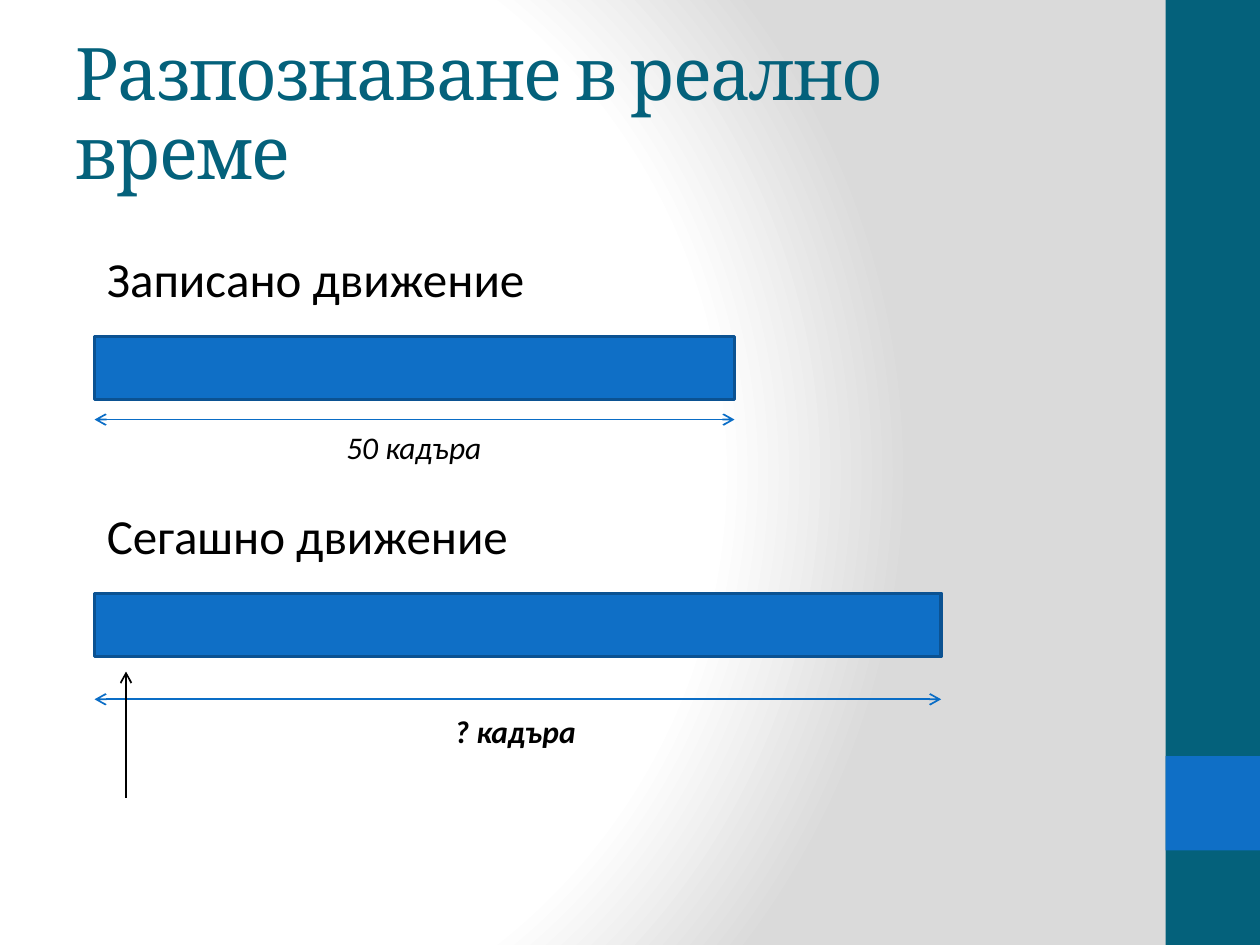
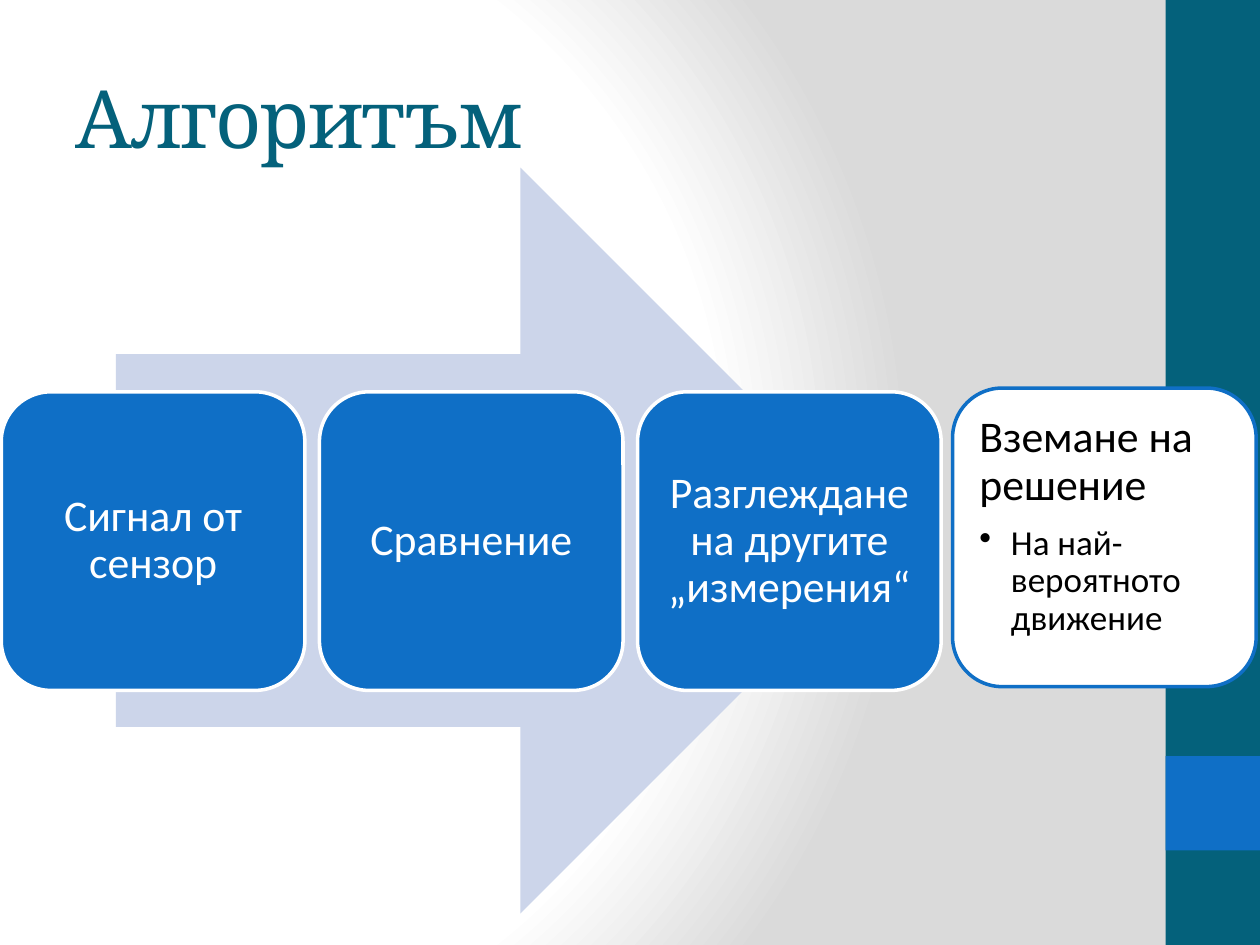
from lxml import etree
from pptx import Presentation
from pptx import util as u
from pptx.dml.color import RGBColor
from pptx.enum import shapes, text
from pptx.oxml import parse_xml
from pptx.oxml.ns import nsdecls, qn

TEAL, BLUE, DARK_BLUE, LINE_BLUE = "04617B", "0F6FC6", "0B5292", "0A6DC6"
PALE, WHITE, BLACK, GREY = "CCD5EA", "FFFFFF", "000000", "DADADA"
STOPS = ((0, WHITE), (75, WHITE), (100, GREY))


def color(value):
    return RGBColor.from_string(value)


class Builder:
    heading_font = "Cambria"
    body_font = "Calibri"

    def __init__(self):
        self.deck = Presentation()
        self.deck.slide_width = u.Inches(10)
        self.deck.slide_height = u.Inches(7.5)
        self.slide = None

    def start(self, title, size):
        self.slide = self.deck.slides.add_slide(self.deck.slide_layouts[6])
        self.background()
        self.shape(9.25, 0, 0.75, 7.5, TEAL)
        self.shape(9.25, 6, 0.75, 0.75, BLUE)
        box = self.label(0.5, 0.3, 8.33, 1.25, title, size, TEAL, wrap=True)
        box.text_frame.vertical_anchor = text.MSO_ANCHOR.MIDDLE
        para = box.text_frame.paragraphs[0]
        para.font.name = self.heading_font
        para.line_spacing = 0.9 if size < 46 else 1.0
        for span in para.runs:
            span.font._element.set("spc", "-100")

    def background(self):
        self.slide.background.fill.gradient()
        old = next(self.slide.element.iter(qn("a:gradFill")))
        stops = "".join(
            f'<a:gs pos="{place * 1000}"><a:srgbClr val="{shade}"/></a:gs>'
            for place, shade in STOPS)
        new = parse_xml(
            f'<a:gradFill {nsdecls("a")} rotWithShape="1"><a:gsLst>{stops}</a:gsLst>'
            '<a:path path="circle"><a:fillToRect l="20000" t="50000" '
            'r="100000" b="50000"/></a:path></a:gradFill>')
        old.getparent().replace(old, new)

    def shape(self, left, top, width, height, fill, line=None,
              kind=shapes.MSO_SHAPE.RECTANGLE):
        box = self.slide.shapes.add_shape(
            kind, *map(u.Inches, (left, top, width, height)))
        box.shadow.inherit = False
        box.fill.solid()
        box.fill.fore_color.rgb = color(fill)
        if line:
            box.line.color.rgb = color(line)
            box.line.width = u.Pt(2)
        else:
            box.line.fill.background()
        return box

    def style(self, para, size, ink, bold=False, italic=False):
        font = para.font
        font.name = self.body_font
        font.size = u.Pt(size)
        font.color.rgb = color(ink)
        font.bold = bold
        font.italic = italic

    def label(self, left, top, width, height, words, size, ink=BLACK,
              bold=False, italic=False, wrap=False):
        box = self.slide.shapes.add_textbox(
            *map(u.Inches, (left, top, width, height)))
        box.text_frame.word_wrap = wrap
        para = box.text_frame.paragraphs[0]
        para.text = words
        self.style(para, size, ink, bold, italic)
        return box

    def arrow(self, start, end, ink, double=False):
        line = self.slide.shapes.add_connector(
            shapes.MSO_CONNECTOR.STRAIGHT, *map(u.Inches, (*start, *end)))
        line.line.color.rgb = color(ink)
        line.line.width = u.Pt(1)
        stroke = line.line._get_or_add_ln()
        for tag in ("a:headEnd", "a:tailEnd") if double else ("a:tailEnd",):
            etree.SubElement(stroke, qn(tag), type="arrow")
        etree.SubElement(line._element.spPr, qn("a:effectLst"))

    def card(self, left, top, heading, fill, line, ink, bullet=None):
        box = self.shape(left, top, 2.41, 2.37, fill, line,
                         shapes.MSO_SHAPE.ROUNDED_RECTANGLE)
        frame = box.text_frame
        frame.word_wrap = True
        frame.margin_left = frame.margin_right = u.Inches(0.1)
        frame.margin_top = frame.margin_bottom = u.Inches(0.1)
        frame.vertical_anchor = (
            text.MSO_ANCHOR.TOP if bullet else text.MSO_ANCHOR.MIDDLE)
        para = frame.paragraphs[0]
        para.text = heading
        para.line_spacing = 0.9
        para.alignment = text.PP_ALIGN.LEFT if bullet else text.PP_ALIGN.CENTER
        self.style(para, 25, ink)
        if bullet:
            para.space_after = u.Pt(8.75)
            self.bullet(frame.add_paragraph(), bullet, ink)

    def bullet(self, para, words, ink):
        para.text = words
        para.level = 1
        para.alignment = text.PP_ALIGN.LEFT
        para.line_spacing = 0.9
        self.style(para, 20, ink)
        props = para._p.get_or_add_pPr()
        props.set("marL", str(u.Inches(0.25)))
        props.set("indent", str(u.Inches(-0.25)))
        mark = parse_xml(f'<a:buChar {nsdecls("a")} char="•"/>')
        props.find(qn("a:defRPr")).addprevious(mark)

    def motion(self, top, width, name, name_width, measure_top):
        self.shape(0.75, top + 0.75, width, 0.5, BLUE, DARK_BLUE)
        self.label(0.75, top, name_width, 0.57, name, 28)
        self.arrow((0.75, measure_top), (0.75 + width, measure_top),
                   LINE_BLUE, double=True)


page = Builder()

page.start("Разпознаване в реално време", 41.4)
page.motion(1.92, 5.08, "Записано движение", 3.55, 3.33)
page.label(2.65, 3.35, 1.28, 0.4, "50 кадъра", 18, italic=True)
page.motion(3.96, 6.72, "Сегашно движение", 3.41, 5.55)
page.label(3.51, 5.6, 1.31, 0.4, "? кадъра", 18, bold=True, italic=True, wrap=True)
page.arrow((1, 6.33), (1, 5.33), BLACK)

page.start("Алгоритъм", 46)
page.shape(0.92, 1.33, 6.17, 5.92, PALE, kind=shapes.MSO_SHAPE.RIGHT_ARROW)
steps = ("Сигнал от сензор", "Сравнение", "Разглеждане на другите „измерения“")
for index, step in enumerate(steps):
    page.card(0.01 + index * 2.525, 3.11, step, BLUE, WHITE, WHITE)
page.card(7.56, 3.08, "Вземане на решение", WHITE, BLUE, BLACK,
          "На най-вероятното движение")

page.deck.save("out.pptx")
